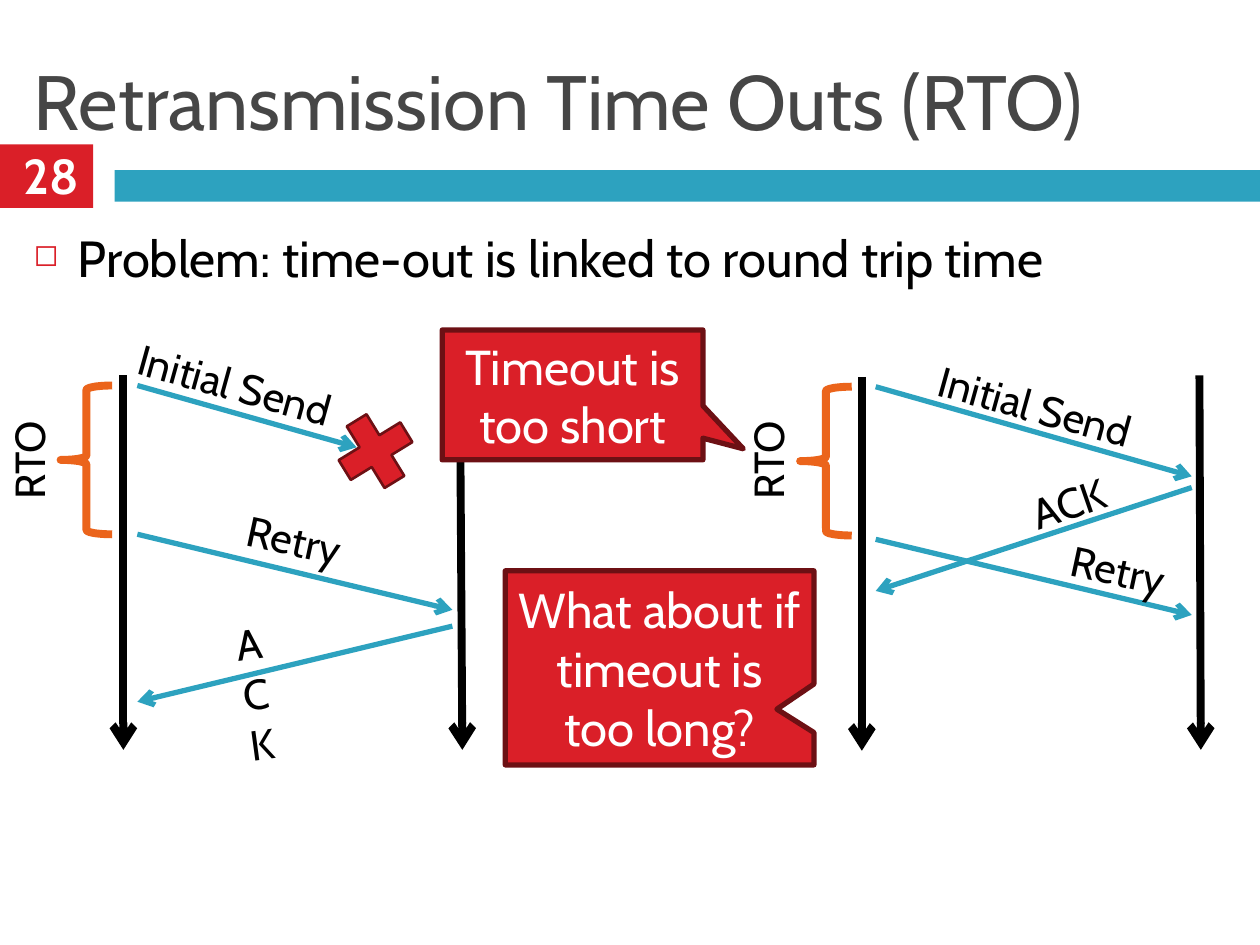
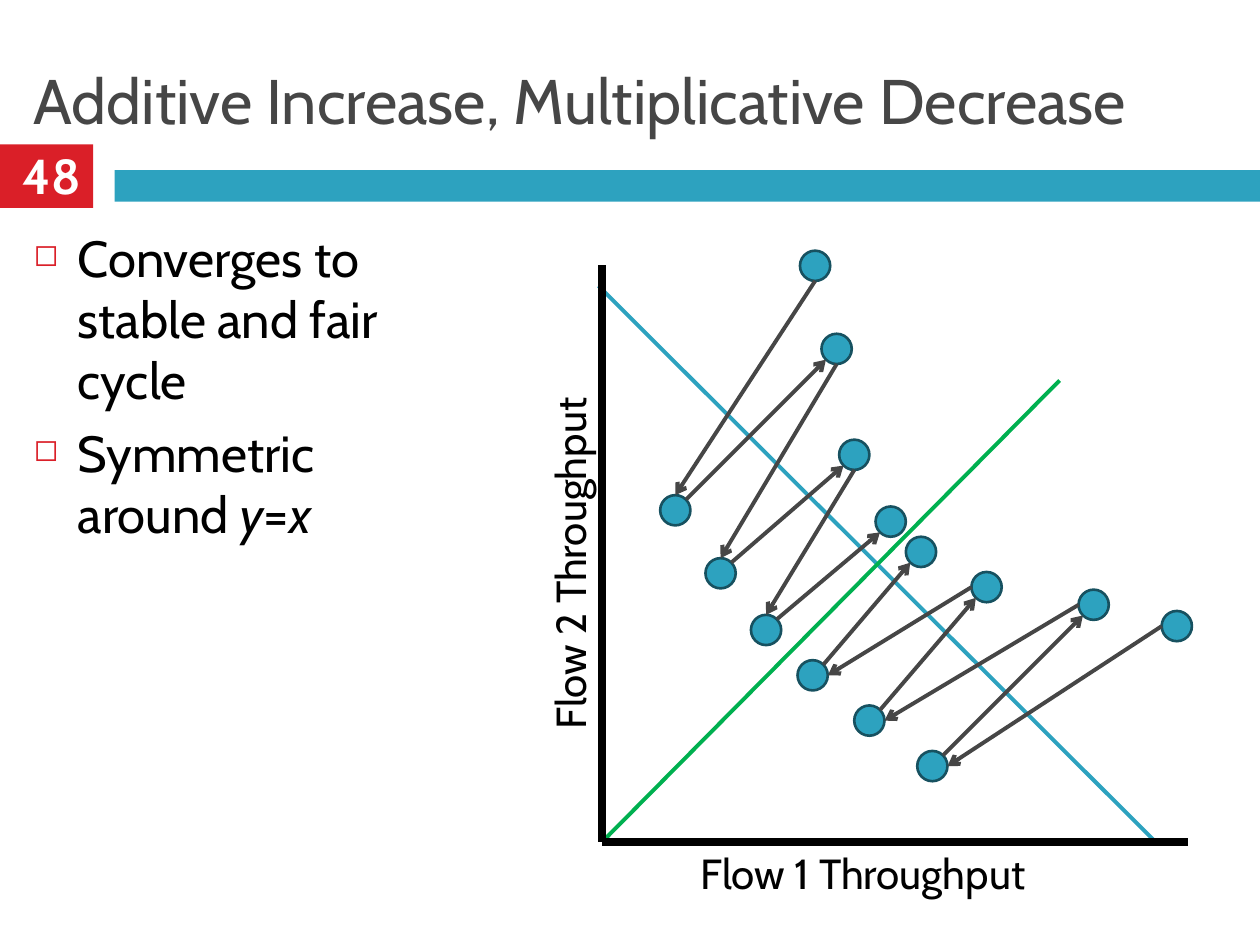
import pptx
import pptx.util
import pptx.dml.color
import pptx.enum.shapes
import pptx.enum.text
import pptx.oxml.ns
import lxml.etree

Pt = pptx.util.Pt
SHAPE = pptx.enum.shapes.MSO_SHAPE
ALIGN = pptx.enum.text.PP_ALIGN
ANCHOR = pptx.enum.text.MSO_ANCHOR
FONT = "Cabin"
HUES = {
    "red": "DA1F28", "wine": "6D1014", "teal": "2DA2BF", "deep": "175160",
    "gray": "464646", "black": "000000", "white": "FFFFFF",
    "orange": "EB641B", "green": "00B050",
}

TIMEOUT = {
    "title": "Retransmission Time Outs (RTO)", "size": 44, "number": "28",
    "body": [["Problem: time-out is linked to round trip time"]],
    "box": (12.2, 126, 696.2, 131),
}
LIVES = [
    (70.5, 214.5, 70.5, 428.5), (262.8, 214.5, 264.2, 428.5),
    (492.5, 215.3, 492.5, 429), (685.4, 214.5, 686.2, 428.5),
]
SENDS = [
    ("Initial Send", (78.5, 220.3, 203.8, 255.6), (55.4, 201.6, 157.7, 36), 15.6),
    ("ACK", (258.5, 357.8, 78.5, 401), (128.2, 349.2, 36, 93), -7.8),
    ("Retry", (78.5, 305.3, 258.5, 348.5), (128.2, 290.2, 80, 36), 12.3),
    ("Initial Send", (500.4, 221, 681, 272.2), (512.6, 213.8, 157.7, 36), 15.6),
    ("ACK", (681, 278.6, 500.4, 337.7), (568.8, 269.3, 83.5, 36), -19),
    ("Retry", (500.4, 308.2, 681, 351.4), (599, 307.4, 80, 36), 12.3),
]
WAITS = [(34.6, 220.3), (457.2, 221)]
LOSS = (186.5, 229.7, 56.2, 56.2)
CALLS = [
    ("Timeout is too short", (252.7, 188.6, 149, 74.2), (0.655, 0.415)),
    ("What about if timeout is too long?", (288.7, 326.2, 176.4, 110.9), (0.38, 0.213)),
]

AIMD = {
    "title": "Additive Increase, Multiplicative Decrease", "size": 36, "number": "48",
    "body": [["Converges to stable and fair cycle"],
             ["Symmetric around ", "y", "=", "x"]],
    "box": (12.2, 126, 240.5, 401.8),
}
AXES = [("Flow 1 Throughput", (393.1, 481, 216, 36), 0),
        ("Flow 2 Throughput", (217.4, 298.1, 216, 36), 270)]
PLOT = [
    ((342, 163.4, 660.2, 481), "teal", 2.25),
    ((344.2, 481, 605.5, 217.4), "green", 2.25),
    ((344.2, 481, 679, 481), "black", 4.5),
    ((344.2, 481, 344.2, 151.2), "black", 4.5),
]
DOT = 17.3
UPPER = [(465.8, 151.9), (385.9, 291.6), (478.1, 199.4), (411.8, 327.6),
         (488.2, 259.9), (437.8, 360), (509, 298.1)]
LOWER = [(672.5, 357.8), (532.8, 437.8), (625, 345.6), (496.8, 411.8),
         (563.8, 335.5), (464.4, 385.9), (526.3, 315.4)]
CHAINS = [(UPPER, (0, 1)), (LOWER, (-1, 0))]


def rgb(hue):
    return pptx.dml.color.RGBColor.from_string(HUES[hue])


def add_tag(node, tag, **attrs):
    return lxml.etree.SubElement(node, pptx.oxml.ns.qn("a:" + tag), attrs)


def style(para, size, hue, bold=False):
    font = para.font
    font.name, font.size, font.bold = FONT, Pt(size), bold
    font.color.rgb = rgb(hue)


def write(frame, text, size, hue, align=ALIGN.CENTER, anchor=ANCHOR.TOP, bold=False):
    frame.word_wrap = True
    frame.vertical_anchor = anchor
    frame.text = text
    frame.paragraphs[0].alignment = align
    style(frame.paragraphs[0], size, hue, bold)


def label(slide, text, box, size=24, hue="black", turn=0, **rest):
    item = slide.shapes.add_textbox(*map(Pt, box))
    item.rotation = turn
    write(item.text_frame, text, size, hue, **rest)


def shape(slide, kind, box, fill=None, edge=None, width=1.5):
    item = slide.shapes.add_shape(kind, *map(Pt, box))
    item.shadow.inherit = False
    if fill:
        item.fill.solid()
        item.fill.fore_color.rgb = rgb(fill)
    else:
        item.fill.background()
    if edge:
        item.line.color.rgb = rgb(edge)
        item.line.width = Pt(width)
    else:
        item.line.fill.background()
    return item


def line(slide, ends, hue, width, arrow=True):
    item = slide.shapes.add_connector(
        pptx.enum.shapes.MSO_CONNECTOR.STRAIGHT, *map(Pt, ends))
    item.line.color.rgb = rgb(hue)
    item.line.width = Pt(width)
    if arrow:
        add_tag(item.line._get_or_add_ln(), "tailEnd", type="arrow")
    add_tag(item._element.spPr, "effectLst")


def bullets(slide, items, box):
    frame = slide.shapes.add_textbox(*map(Pt, box)).text_frame
    frame.word_wrap = True
    for rank, parts in enumerate(items):
        para = frame.add_paragraph() if rank else frame.paragraphs[0]
        if rank:
            para.space_before = Pt(7)
        props = para._p.get_or_add_pPr()
        props.set("marL", str(Pt(25.2)))
        props.set("indent", str(-Pt(25.2)))
        add_tag(add_tag(props, "buClr"), "srgbClr", val=HUES["red"])
        add_tag(props, "buSzPct", val="60000")
        add_tag(props, "buChar", char="◻")
        style(para, 29, "black")
        for spot, part in enumerate(parts):
            run = para.add_run()
            run.text = part
            run.font.italic = spot % 2 == 1


def start(deck, page):
    slide = deck.slides.add_slide(deck.slide_layouts[6])
    shape(slide, SHAPE.RECTANGLE, (0, 82.5, 53.3, 36.3), "red")
    shape(slide, SHAPE.RECTANGLE, (65.5, 97.2, 654.5, 18), "teal")
    label(slide, page["title"], (12.2, 18, 696.2, 77.8), page["size"], "gray",
          align=ALIGN.LEFT, anchor=ANCHOR.MIDDLE)
    label(slide, page["number"], (0, 77, 59, 46), 28, "white",
          anchor=ANCHOR.MIDDLE, bold=True)
    bullets(slide, page["body"], page["box"])
    return slide


def draw_timeout(deck):
    slide = start(deck, TIMEOUT)
    for ends in LIVES:
        line(slide, ends, "black", 4.5)
    for text, ends, box, turn in SENDS:
        line(slide, ends, "teal", 3)
        label(slide, text, box, turn=turn)
    for left, top in WAITS:
        shape(slide, SHAPE.LEFT_BRACE, (left, top, 29.5, 85), edge="orange", width=4.5)
        label(slide, "RTO", (left - 56.9, 244.8, 77, 36), turn=270)
    shape(slide, SHAPE.MATH_MULTIPLY, LOSS, "red", "wine").rotation = 13.5
    for text, box, tip in CALLS:
        call = shape(slide, SHAPE.RECTANGULAR_CALLOUT, box, "red", "wine", 3)
        call.adjustments[0], call.adjustments[1] = tip
        write(call.text_frame, text, 28, "white", anchor=ANCHOR.MIDDLE)


def draw_aimd(deck):
    slide = start(deck, AIMD)
    for text, box, turn in AXES:
        label(slide, text, box, turn=turn, align=ALIGN.LEFT)
    for ends, hue, width in PLOT:
        line(slide, ends, hue, width, arrow=False)
    half = DOT / 2
    diag = half * 0.71
    for dots, (dx, dy) in CHAINS:
        for x, y in dots:
            shape(slide, SHAPE.OVAL, (x - half, y - half, DOT, DOT), "teal", "deep")
        for rank, ((x, y), (u, v)) in enumerate(zip(dots, dots[1:])):
            if rank % 2:
                ends = (x + diag, y - diag, u - diag, v + diag)
            else:
                ends = (x + dx * half, y + dy * half, u - dx * half, v - dy * half)
            line(slide, ends, "gray", 2.25)


def main():
    deck = pptx.Presentation()
    deck.slide_width, deck.slide_height = Pt(720), Pt(540)
    draw_timeout(deck)
    draw_aimd(deck)
    deck.save("out.pptx")


if __name__ == "__main__":
    main()
